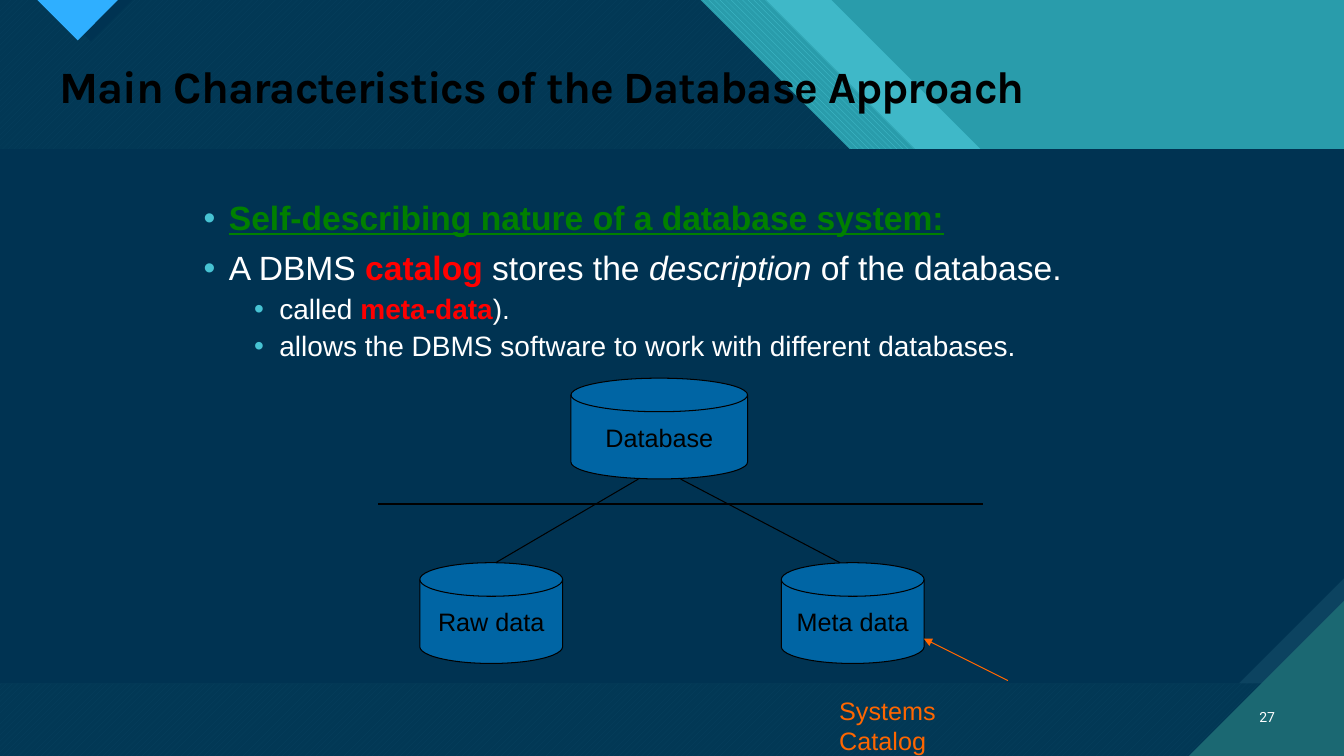
from lxml.etree import SubElement
from pptx import Presentation
from pptx.dml.color import RGBColor
from pptx.enum.dml import MSO_PATTERN
from pptx.enum.shapes import MSO_CONNECTOR, MSO_SHAPE
from pptx.enum.text import MSO_ANCHOR, MSO_AUTO_SIZE, PP_ALIGN
from pptx.oxml.ns import qn
from pptx.util import Cm, Pt

TITLE = "Main Characteristics of the Database Approach"
BULLETS = [
    (0, [("Self-describing nature of a database system:", "heading")]),
    (0, [("A DBMS ", "plain"), ("catalog", "key"), (" stores the ", "plain"),
         ("description", "italic"), (" of the database.", "plain")]),
    (1, [("called ", "plain"), ("meta-data", "key"), (").", "plain")]),
    (1, [("allows the DBMS software to work with different databases.", "plain")]),
]
CYLINDERS = [
    ("Database", 14.39, 9.53, 4.45),
    ("Raw data", 10.58, 14.18, 3.6),
    ("Meta data", 19.69, 14.18, 3.6),
]
LINES = [
    ((16.09, 12.07), (12.49, 14.18)),
    ((17.15, 12.07), (21.17, 14.18)),
    ((9.53, 12.7), (24.77, 12.7)),
]
CATALOG_ARROW = ((25.4, 17.15), (23.28, 16.09))
CATALOG_LABEL = "Systems Catalog"
PAGE_NUMBER = "27"

THEME = {
    "teal": "299CAB", "light": "47C3D3", "deep": "1B6872", "navy": "003352",
    "edge": "0C4360", "sky": "2FAFFF", "disk": "0065A4", "ink": "000000",
    "white": "FFFFFF", "green": "008000", "red": "FF0000", "orange": "FF6600",
    "title_size": 32, "level_sizes": (24, 20), "label_size": 18, "number_size": 10,
    "title_font": "Karla", "body_font": "Arial", "number_font": "Roboto",
}
STYLES = {
    "plain": {"color": "white"},
    "heading": {"color": "green", "bold": True, "underline": True},
    "key": {"color": "red", "bold": True},
    "italic": {"color": "white", "italic": True},
}
WIDTH, HEIGHT = 33.87, 19.05
PANEL_TOP, PANEL_HEIGHT = 3.76, 13.46
CYLINDER_HEIGHT = 2.54
SLANT = 7.54
INDENT = 0.635

presentation = Presentation()
presentation.slide_width, presentation.slide_height = Cm(WIDTH), Cm(HEIGHT)
slide = presentation.slides.add_slide(presentation.slide_layouts[1])


def rgb(name):
    return RGBColor.from_string(THEME[name])


def add_text(paragraph, text, size, color, font="body_font", bold=False,
             italic=False, underline=False, spacing=None):
    run = paragraph.add_run()
    run.text = text
    run.font.name = THEME[font]
    run.font.size = Pt(size)
    run.font.color.rgb = rgb(color)
    run.font.bold, run.font.italic, run.font.underline = bold, italic, underline
    if spacing is not None:
        run.font._element.set("spc", str(spacing))


def paint(shape, color, pattern=None, back=None, alpha=None):
    shape.shadow.inherit = False
    shape.line.fill.background()
    if pattern is None:
        shape.fill.solid()
    else:
        shape.fill.patterned()
        shape.fill.pattern = pattern
        shape.fill.back_color.rgb = rgb(back)
    shape.fill.fore_color.rgb = rgb(color)
    if alpha is not None:
        tint = next(shape.element.spPr.iter(qn("a:srgbClr")))
        SubElement(tint, qn("a:alpha"), val=str(alpha * 1000))


def add_polygon(points, color, **fill):
    corners = [(Cm(x), Cm(y)) for x, y in points]
    builder = slide.shapes.build_freeform(*corners[0], scale=1.0)
    builder.add_line_segments(corners[1:], close=True)
    paint(builder.convert_to_shape(), color, **fill)


def add_band(right, color, **fill):
    add_polygon([(0, 0), (right, 0), (right + SLANT, SLANT), (WIDTH, SLANT),
                 (WIDTH, HEIGHT), (0, HEIGHT)], color, **fill)


def add_box(kind, left, top, width, height):
    return slide.shapes.add_shape(kind, Cm(left), Cm(top), Cm(width), Cm(height))


def add_line(start, end, color, arrow=False):
    connector = slide.shapes.add_connector(
        MSO_CONNECTOR.STRAIGHT, *(Cm(value) for value in start + end))
    connector.line.color.rgb = rgb(color)
    connector.line.width = Pt(0.75)
    if arrow:
        SubElement(connector.line._get_or_add_ln(), qn("a:tailEnd"), type="triangle")
    SubElement(connector.element.spPr, qn("a:effectLst"))


def add_label(left, top, width, height):
    box = slide.shapes.add_textbox(Cm(left), Cm(top), Cm(width), Cm(height))
    box.text_frame.word_wrap = True
    return box.text_frame


def place(shape, left, top, width, height, anchor):
    shape.element.getparent().append(shape.element)
    shape.left, shape.top = Cm(left), Cm(top)
    shape.width, shape.height = Cm(width), Cm(height)
    shape.text_frame.auto_size = MSO_AUTO_SIZE.NONE
    shape.text_frame.vertical_anchor = anchor
    return shape.text_frame


def add_bullet(paragraph, level):
    properties = paragraph._p.get_or_add_pPr()
    properties.set("marL", str(Cm(INDENT * (1 + 2 * level))))
    properties.set("indent", str(-Cm(INDENT)))
    color = SubElement(properties, qn("a:buClr"))
    SubElement(color, qn("a:srgbClr"), val=THEME["light"])
    SubElement(properties, qn("a:buFont"), typeface=THEME["body_font"])
    SubElement(properties, qn("a:buChar"), char="•")


def draw_background():
    paint(add_box(MSO_SHAPE.RECTANGLE, 0, 0, WIDTH, HEIGHT), "teal")
    add_band(20.95, "light", alpha=74)
    add_band(19.3, "light", pattern=MSO_PATTERN.WIDE_DOWNWARD_DIAGONAL, back="teal")
    add_band(17.65, "light", pattern=MSO_PATTERN.WIDE_UPWARD_DIAGONAL, back="deep")
    add_band(17.65, "navy", alpha=90)
    add_polygon([(1.22, 0), (3.33, 0), (2.29, 1.04)], "navy")
    add_polygon([(0.94, 0), (2.97, 0), (1.96, 1.02)], "sky")
    paint(add_box(MSO_SHAPE.RECTANGLE, 0, PANEL_TOP, WIDTH, PANEL_HEIGHT), "edge")
    bottom, snip = PANEL_TOP + PANEL_HEIGHT, 2.65
    add_polygon([(0, PANEL_TOP), (WIDTH, PANEL_TOP), (WIDTH, bottom - snip),
                 (WIDTH - snip, bottom), (0, bottom)], "navy")
    corner = 3.91
    add_polygon([(WIDTH - corner, HEIGHT), (WIDTH, HEIGHT), (WIDTH, HEIGHT - corner)],
                "deep")


def draw_text():
    title = place(slide.shapes.title, 1.24, 1.5, 31.14, 1.5, MSO_ANCHOR.MIDDLE)
    title.paragraphs[0].alignment = PP_ALIGN.LEFT
    title.paragraphs[0].line_spacing = 0.9
    add_text(title.paragraphs[0], TITLE, THEME["title_size"], "ink",
             font="title_font", bold=True, spacing=-70)
    body = place(slide.placeholders[1], 4.88, 4.95, 23.93, 4.5, MSO_ANCHOR.TOP)
    for index, (level, runs) in enumerate(BULLETS):
        paragraph = body.add_paragraph() if index else body.paragraphs[0]
        paragraph.level = level
        add_bullet(paragraph, level)
        paragraph.line_spacing = 0.9
        paragraph.space_before = Pt((10, 5)[level] if index else 0)
        for text, style in runs:
            add_text(paragraph, text, THEME["level_sizes"][level], **STYLES[style])


def draw_diagram():
    for name, left, top, width in CYLINDERS:
        cylinder = add_box(MSO_SHAPE.FLOWCHART_MAGNETIC_DISK, left, top, width,
                           CYLINDER_HEIGHT)
        paint(cylinder, "disk")
        cylinder.line.color.rgb = rgb("ink")
        cylinder.line.width = Pt(0.75)
        cylinder.text_frame.word_wrap = False
        cylinder.text_frame.vertical_anchor = MSO_ANCHOR.MIDDLE
        paragraph = cylinder.text_frame.paragraphs[0]
        paragraph.alignment = PP_ALIGN.CENTER
        add_text(paragraph, name, THEME["label_size"], "ink")
    for start, end in LINES:
        add_line(start, end, "ink")
    label = add_label(20.9, 17.4, 4.5, 1.6)
    add_text(label.paragraphs[0], CATALOG_LABEL, THEME["label_size"], "orange")
    add_line(*CATALOG_ARROW, "orange", arrow=True)
    number = add_label(31.27, 17.55, 1.11, 1.02)
    number.vertical_anchor = MSO_ANCHOR.MIDDLE
    number.paragraphs[0].alignment = PP_ALIGN.RIGHT
    add_text(number.paragraphs[0], PAGE_NUMBER, THEME["number_size"], "white",
             font="number_font")


draw_background()
draw_text()
draw_diagram()
presentation.save("out.pptx")
